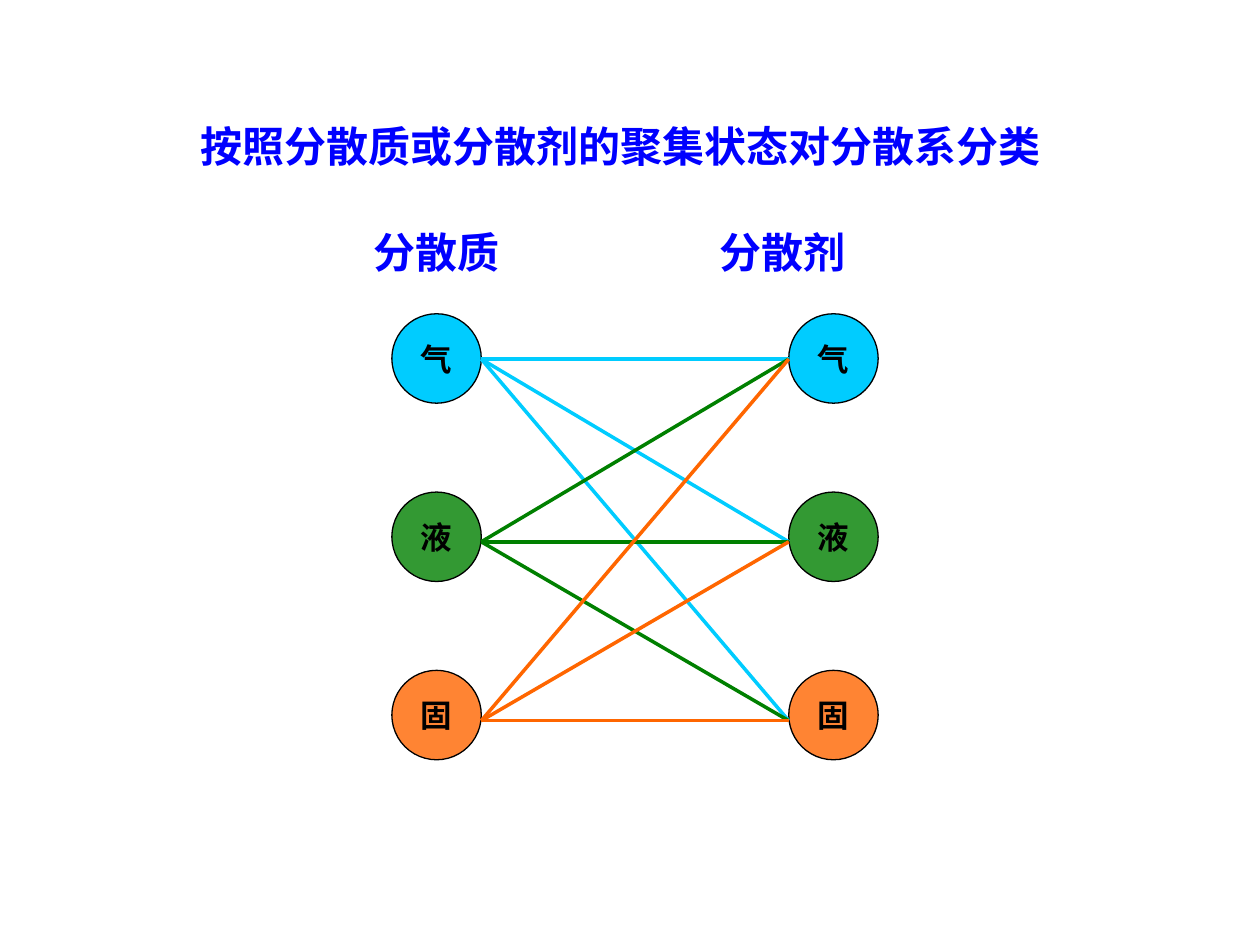
from itertools import product

from lxml import etree
from pptx import Presentation
from pptx.dml.color import RGBColor
from pptx.enum.shapes import MSO_CONNECTOR, MSO_SHAPE
from pptx.enum.text import MSO_ANCHOR, PP_ALIGN
from pptx.oxml.ns import qn
from pptx.util import Inches, Pt

OVAL = MSO_SHAPE.OVAL
STRAIGHT = MSO_CONNECTOR.STRAIGHT
MIDDLE = MSO_ANCHOR.MIDDLE
LEFT, CENTER = PP_ALIGN.LEFT, PP_ALIGN.CENTER
BLUE = RGBColor(0x00, 0x00, 0xFF)
BLACK = RGBColor(0x00, 0x00, 0x00)
SKY = RGBColor(0x00, 0xCC, 0xFF)
GREEN = RGBColor(0x00, 0x80, 0x00)
ORANGE = RGBColor(0xFF, 0x66, 0x00)


def write(frame, text, size=24, color=BLUE, align=CENTER, wrap=True, tab=None):
    """Put one bold paragraph in a text frame."""
    frame.word_wrap = wrap
    frame.vertical_anchor = MIDDLE
    para = frame.paragraphs[0]
    para.alignment = align
    if tab:
        stops = etree.SubElement(para._p.get_or_add_pPr(), qn("a:tabLst"))
        etree.SubElement(stops, qn("a:tab"), pos=str(tab), algn="l")
    run = para.add_run()
    run.text = text
    font = run.font
    font.name, font.size, font.bold = "Arial", Pt(size), True
    font.color.rgb = color


class Board:
    """Style and slide, on a grid of 100 columns by 75 rows."""

    def __init__(self, deck):
        """Add a slide and size the grid cell."""
        self.slide = deck.slides.add_slide(deck.slide_layouts[5])
        self.shapes = self.slide.shapes
        self.cell = deck.slide_width / 100

    def grid(self, *cells):
        """Turn grid cells into lengths."""
        return [round(n * self.cell) for n in cells]

    def title(self, text, *place):
        """Move and fill the title placeholder."""
        head = self.shapes.title
        head.left, head.top, head.width, head.height = self.grid(*place)
        write(head.text_frame, text)

    def label(self, text, *place, tab):
        """Add a line of text with a tab stop."""
        box = self.shapes.add_textbox(*self.grid(*place))
        write(box.text_frame, text, align=LEFT, tab=self.grid(tab)[0])

    def node(self, text, col, row, size, color, alpha):
        """Add a circle with a letter in it."""
        oval = self.shapes.add_shape(OVAL, *self.grid(col, row, size, size))
        oval.shadow.inherit = False
        oval.fill.solid()
        oval.fill.fore_color.rgb = color
        if alpha < 100:
            tint = oval.fill._xPr.find(qn("a:solidFill"))[0]
            etree.SubElement(tint, qn("a:alpha"), val=str(alpha * 1000))
        oval.line.color.rgb = BLACK
        oval.line.width = Pt(0.75)
        write(oval.text_frame, text, size=18, color=BLACK, wrap=False)

    def link(self, start, end, color):
        """Draw a straight line between two grid points."""
        line = self.shapes.add_connector(STRAIGHT, *self.grid(*start, *end))
        line.line.color.rgb = color
        line.line.width = Pt(2)
        etree.SubElement(line._element.spPr, qn("a:effectLst"))


def main():
    """Build the slide and save it."""
    deck = Presentation()
    deck.slide_width, deck.slide_height = Inches(10), Inches(7.5)
    board = Board(deck)
    board.title("按照分散质或分散剂的聚集状态对分散系分类", 9, 9.1, 80.5, 5)
    board.label("分散质\t分散剂", 28.7, 17.5, 50.4, 5, tab=27.4)

    size, top, step = 7.1, 24.9, 14.15
    left, right = 31.1, 62.6
    states = [("气", SKY, 100), ("液", GREEN, 80), ("固", ORANGE, 80)]
    for i, (name, color, alpha) in enumerate(states):
        for col in (left, right):
            board.node(name, col, top + i * step, size, color, alpha)

    ports = (28.5, 43, 57.2)
    for (row, state), end in product(zip(ports, states), ports):
        board.link((left + size, row), (right, end), state[1])
    deck.save("out.pptx")


if __name__ == "__main__":
    main()
